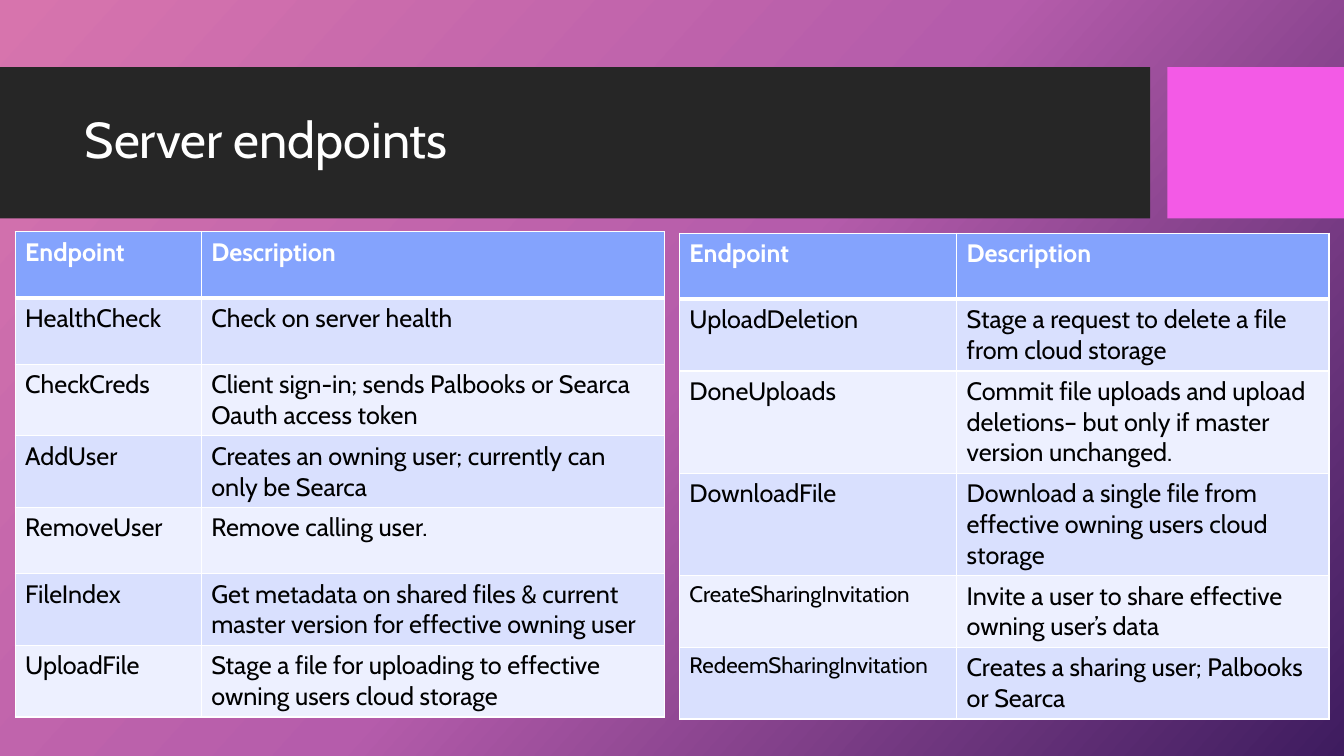
from copy import deepcopy
from lxml.etree import SubElement
from pptx import Presentation
from pptx.dml.color import RGBColor
from pptx.enum.shapes import MSO_SHAPE
from pptx.enum.text import MSO_ANCHOR, PP_ALIGN
from pptx.oxml.ns import qn
from pptx.util import Pt


def color(hex_value):
    return RGBColor.from_string(hex_value)


def add_border(cell, side, width):
    line = SubElement(cell._tc.get_or_add_tcPr(), qn(f"a:ln{side}"), w=str(Pt(width)))
    SubElement(SubElement(line, qn("a:solidFill")), qn("a:srgbClr"), val="FFFFFF")


presentation = Presentation()
presentation.slide_width = Pt(960)
presentation.slide_height = Pt(540)
slide = presentation.slides.add_slide(presentation.slide_layouts[5])

backdrop = slide.background.fill
backdrop.gradient()
backdrop.gradient_angle = 318
stop_list = slide.element.find(".//" + qn("a:gsLst"))
stop_list.append(deepcopy(stop_list[-1]))
for stop, position, shade in zip(
    backdrop.gradient_stops, (0, 0.5, 1), ("D774AD", "B55CAB", "3E1C5F")
):
    stop.position = position
    stop.color.rgb = color(shade)

title = slide.shapes.title
title.left, title.top, title.width, title.height = Pt(53.3), Pt(59), Pt(756.7), Pt(85)
title.text_frame.text = "Server endpoints"
title.text_frame.vertical_anchor = MSO_ANCHOR.MIDDLE
heading = title.text_frame.paragraphs[0]
heading.alignment = PP_ALIGN.LEFT
heading.line_spacing = 0.9
heading.font.name = "Cabin"
heading.font.size = Pt(36)
heading.font.color.rgb = color("FFFFFF")

for left, width, shade in ((0, 821.5, "262626"), (833.8, 126.2, "F35AE6")):
    band = slide.shapes.add_shape(
        MSO_SHAPE.RECTANGLE, Pt(left), Pt(48), Pt(width), Pt(108)
    )
    band.shadow.inherit = False
    band.fill.solid()
    band.fill.fore_color.rgb = color(shade)
    band.line.fill.background()
    title.element.addprevious(band.element)

header = ("Endpoint", "Description")
account_endpoints = [
    header,
    ("HealthCheck", "Check on server health"),
    ("CheckCreds", "Client sign-in; sends Palbooks or Searca Oauth access token"),
    ("AddUser", "Creates an owning user; currently can only be Searca"),
    ("RemoveUser", "Remove calling user."),
    ("FileIndex", "Get metadata on shared files & current master version for effective owning user"),
    ("UploadFile", "Stage a file for uploading to effective owning users cloud storage"),
]
sharing_endpoints = [
    header,
    ("UploadDeletion", "Stage a request to delete a file from cloud storage"),
    ("DoneUploads", "Commit file uploads and upload deletions– but only if master version unchanged."),
    ("DownloadFile", "Download a single file from effective owning users cloud storage"),
    ("CreateSharingInvitation", "Invite a user to share effective owning user’s data"),
    ("RedeemSharingInvitation", "Creates a sharing user; Palbooks or Searca"),
]
row_height = 47.3

for endpoints, left, top, column_widths in (
    (account_endpoints, 10.8, 165.6, (133, 331)),
    (sharing_endpoints, 485.3, 166.5, (198, 266)),
):
    table = slide.shapes.add_table(
        len(endpoints), 2, Pt(left), Pt(top),
        Pt(sum(column_widths)), Pt(row_height * len(endpoints)),
    ).table
    for column, width in zip(table.columns, column_widths):
        column.width = Pt(width)
    for row_index, texts in enumerate(endpoints):
        table.rows[row_index].height = Pt(row_height)
        is_header = row_index == 0
        row_fill = "84A3FD" if is_header else ("EDF0FF", "D9E0FE")[row_index % 2]
        for column_index, text in enumerate(texts):
            cell = table.cell(row_index, column_index)
            add_border(cell, "L", 1)
            add_border(cell, "R", 1)
            add_border(cell, "T", 3 if row_index == 1 else 1)
            add_border(cell, "B", 3 if is_header else 1)
            cell.fill.solid()
            cell.fill.fore_color.rgb = color(row_fill)
            cell.text = text
            font = cell.text_frame.paragraphs[0].font
            font.name = "Cabin"
            font.size = Pt(16 if text.endswith("SharingInvitation") else 18)
            font.bold = is_header
            font.color.rgb = color("FFFFFF" if is_header else "000000")

presentation.save("out.pptx")
